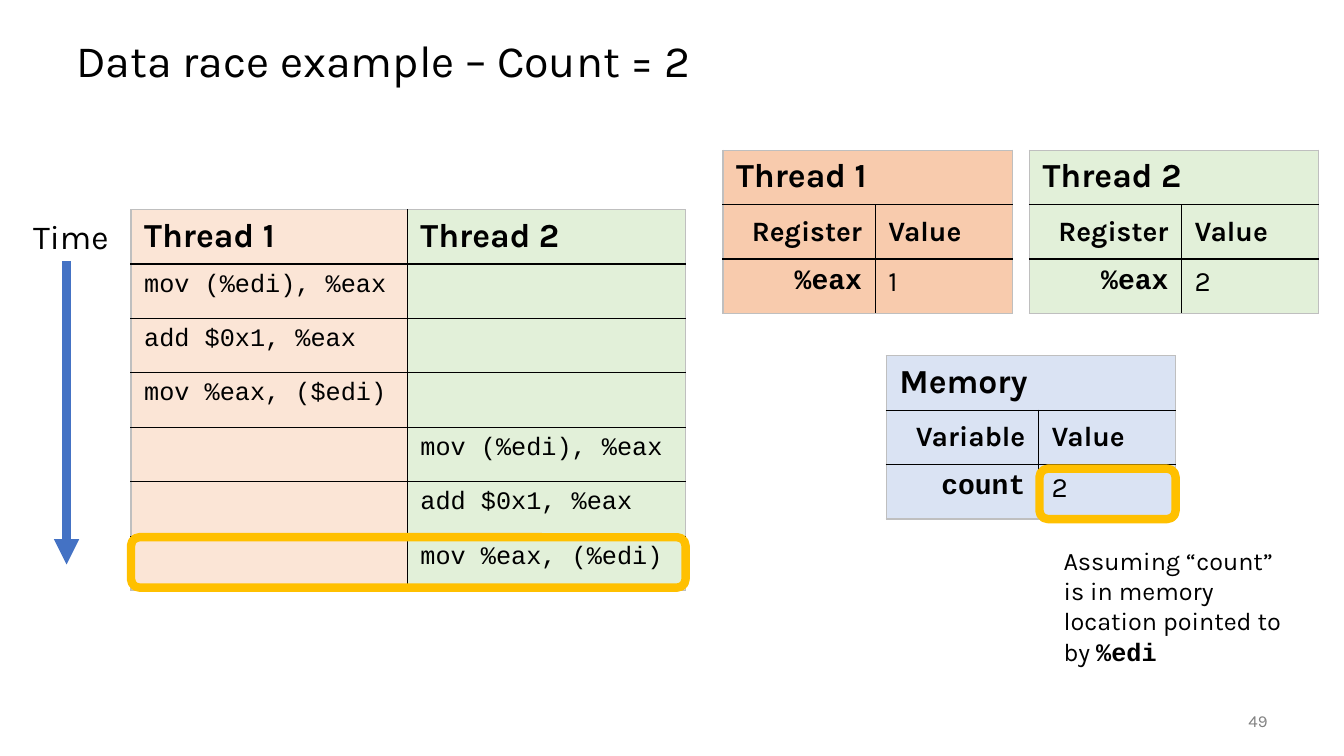
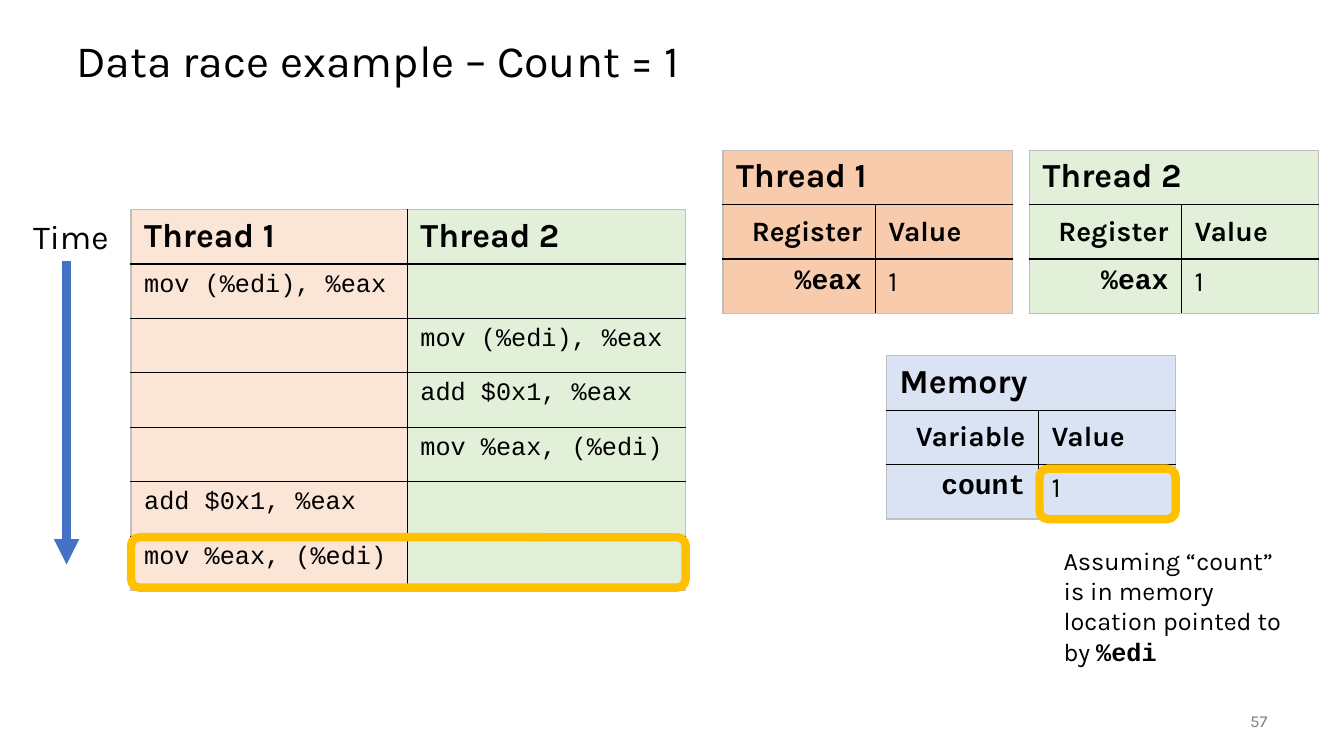
from lxml.etree import SubElement
from pptx import Presentation
from pptx.dml.color import RGBColor
from pptx.enum.shapes import MSO_CONNECTOR as CONN, MSO_SHAPE as SHAPE
from pptx.enum.text import MSO_ANCHOR as ANCHOR, PP_ALIGN as ALIGN
from pptx.oxml.ns import qn
from pptx.util import Inches, Pt

SANS, MONO = "Karla", "Courier New"
BLACK, GREY, EDGE = "000000", "808080", "BFBFBF"
PEACH, ORANGE, GREEN, BLUE = "FBE5D6", "F8CBAD", "E2F0D9", "DAE3F3"
ARROW, HIGHLIGHT = "4472C4", "FFC000"
ROW_H = 0.54

HEAD = dict(size=24, bold=True)
LABEL = dict(size=20, bold=True)
KEY = dict(size=20, bold=True, font=MONO)
VALUE = dict(size=20)
CODE = dict(size=18, font=MONO)

LOAD, ADD, STORE = "mov (%edi), %eax", "add $0x1, %eax", "mov %eax, (%edi)"


def color(value):
    return RGBColor.from_string(value)


def add_run(p, text, size, font=SANS, bold=False, ink=BLACK):
    r = p.add_run()
    r.text = text
    r.font.size, r.font.name, r.font.bold = Pt(size), font, bold
    r.font.color.rgb = color(ink)


def add_text(s, box, runs, align=ALIGN.LEFT, anchor=ANCHOR.TOP, spacing=None):
    tf = s.shapes.add_textbox(*map(Inches, box)).text_frame
    tf.word_wrap, tf.vertical_anchor = True, anchor
    p = tf.paragraphs[0]
    p.alignment, p.line_spacing = align, spacing
    for text, style in runs:
        add_run(p, text, **style)


def add_time_arrow(s):
    add_text(s, (0.23, 2.09, 1.09, 0.5), [("Time", dict(size=24))])
    arrow = s.shapes.add_connector(CONN.STRAIGHT, *map(Inches, (0.66, 2.59, 0.66, 5.6)))
    arrow.line.color.rgb, arrow.line.width = color(ARROW), Pt(6)
    SubElement(arrow.line._get_or_add_ln(), qn("a:tailEnd"), type="triangle")
    SubElement(arrow._element.spPr, qn("a:effectLst"))


def add_highlight(s, box):
    sp = s.shapes.add_shape(SHAPE.ROUNDED_RECTANGLE, *map(Inches, box))
    sp.shadow.inherit = False
    sp.fill.background()
    sp.line.color.rgb, sp.line.width = color(HIGHLIGHT), Pt(6)


def set_borders(cell, left, right, top, bottom):
    tc_pr = cell._tc.get_or_add_tcPr()
    sides = zip("LRTB", (left, right, top, bottom))
    for side, outer in sides:
        ln = SubElement(tc_pr, qn(f"a:ln{side}"), w=str(Pt(1)))
        fill = SubElement(ln, qn("a:solidFill"))
        SubElement(fill, qn("a:srgbClr"), val=EDGE if outer else BLACK)


def add_grid(s, left, top, widths, rows, fills, title_row=False):
    n_rows, n_cols = len(rows), len(widths)
    size = map(Inches, (left, top, sum(widths), ROW_H * n_rows))
    table = s.shapes.add_table(n_rows, n_cols, *size).table
    table.first_row = table.horz_banding = False
    for column, width in zip(table.columns, widths):
        column.width = Inches(width)
    if title_row:
        table.cell(0, 0).merge(table.cell(0, n_cols - 1))
    for i, row in enumerate(rows):
        table.rows[i].height = Inches(ROW_H)
        for j, (text, style) in enumerate(row):
            cell = table.cell(i, j)
            last = cell.is_merge_origin or j == n_cols - 1
            set_borders(cell, j == 0, last, i == 0, i == n_rows - 1)
            cell.fill.solid()
            cell.fill.fore_color.rgb = color(fills[j])
            cell.margin_left = cell.margin_right = Inches(0.13)
            cell.margin_top = cell.margin_bottom = Inches(0.07)
            if style is LABEL:
                cell.vertical_anchor = ANCHOR.MIDDLE
            p = cell.text_frame.paragraphs[0]
            if title_row and i and j == 0:
                p.alignment = ALIGN.RIGHT
            if text:
                add_run(p, text, **style)


def add_state(s, left, top, title, kind, name, value, fill):
    rows = [[(title, HEAD)],
            [(kind, LABEL), ("Value", LABEL)],
            [(name, KEY), (value, VALUE)]]
    add_grid(s, left, top, (1.51, 1.36), rows, (fill, fill), title_row=True)


def add_schedule(s, steps):
    rows = [[("Thread 1", HEAD), ("Thread 2", HEAD)]]
    for thread, code in steps:
        rows.append([(code if thread == n else "", CODE) for n in (1, 2)])
    add_grid(s, 1.3, 2.08, (2.74, 2.76), rows, (PEACH, GREEN))


def add_race_slide(prs, number, count, steps):
    s = prs.slides.add_slide(prs.slide_layouts[6])
    title = f"Data race example – Count = {count}"
    add_text(s, (0.66, 0.25, 12, 0.75), [(title, dict(size=32))],
             anchor=ANCHOR.MIDDLE, spacing=0.9)
    add_text(s, (11.67, 6.95, 1, 0.4), [(number, dict(size=12, ink=GREY))],
             ALIGN.RIGHT, ANCHOR.MIDDLE)
    add_schedule(s, steps)
    add_time_arrow(s)
    add_state(s, 7.17, 1.49, "Thread 1", "Register", "%eax", "1", ORANGE)
    add_state(s, 10.21, 1.49, "Thread 2", "Register", "%eax", count, GREEN)
    add_state(s, 8.79, 3.53, "Memory", "Variable", "count", count, BLUE)
    add_text(s, (10.45, 5.36, 2.44, 1.01), [
        ("Assuming “count” is in memory location pointed to by ", dict(size=18)),
        ("%edi", dict(size=18, font=MONO, bold=True))])
    add_highlight(s, (1.3, 5.33, 5.5, 0.5))
    add_highlight(s, (10.31, 4.65, 1.35, 0.5))


def main():
    prs = Presentation()
    prs.slide_width, prs.slide_height = Inches(13.33), Inches(7.5)
    add_race_slide(prs, "49", "2", [
        (1, LOAD), (1, ADD), (1, "mov %eax, ($edi)"),
        (2, LOAD), (2, ADD), (2, STORE)])
    add_race_slide(prs, "57", "1", [
        (1, LOAD), (2, LOAD), (2, ADD),
        (2, STORE), (1, ADD), (1, STORE)])
    prs.save("out.pptx")


if __name__ == "__main__":
    main()
